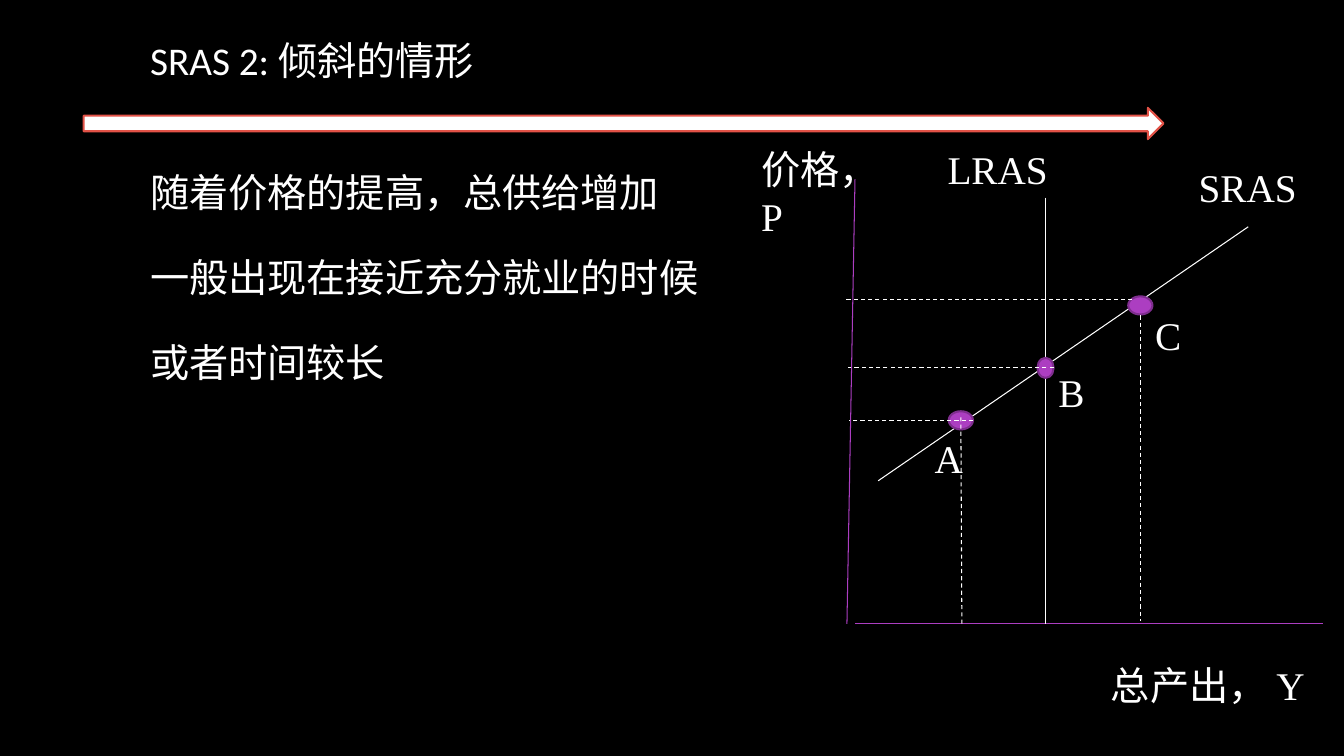
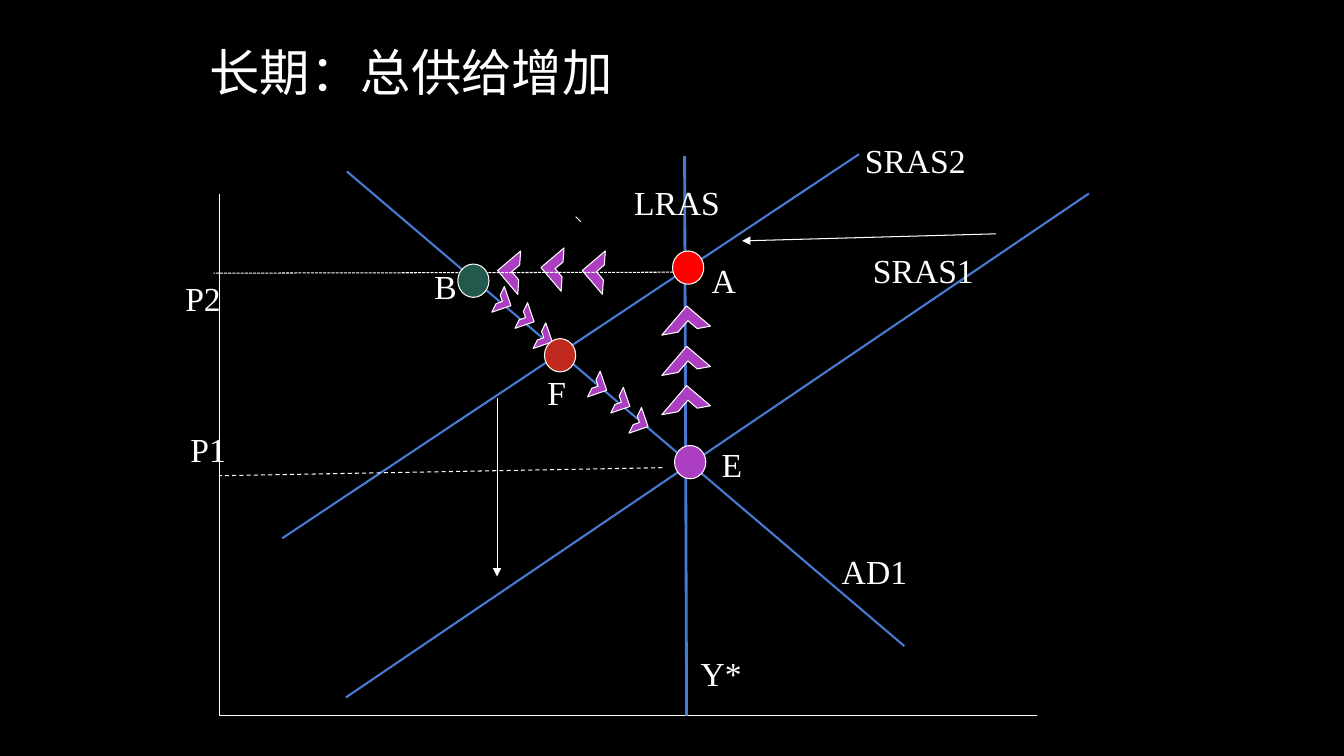
from dataclasses import dataclass

from lxml.etree import SubElement
from pptx import Presentation
from pptx.dml.color import RGBColor as Color
from pptx.enum.dml import MSO_LINE as Dash
from pptx.enum.shapes import MSO_CONNECTOR as Connector, MSO_SHAPE as Shape
from pptx.enum.text import MSO_ANCHOR as Anchor
from pptx.oxml.ns import qn
from pptx.util import Inches, Pt


@dataclass(frozen=True)
class Theme:
    black: str = "000000"
    white: str = "FFFFFF"
    purple: str = "AC3EC1"
    dark_purple: str = "7F2E8F"
    blue: str = "477BD1"
    red: str = "FF0000"
    brick: str = "C02A1E"
    green: str = "23594C"
    coral: str = "E25247"
    title_font: str = "Calibri"
    label_font: str = "Times New Roman"
    small: int = 24
    medium: int = 28
    large: int = 36
    thin: float = 0.75
    medium_line: float = 1.5
    thick: float = 2


theme = Theme()


def draw_line(page, ends, color=theme.white, width=theme.thin, dash=None, arrow=False):
    line = page.shapes.add_connector(Connector.STRAIGHT, *map(Inches, ends))
    line.line.color.rgb = Color.from_string(color)
    line.line.width = Pt(width)
    if dash:
        line.line.dash_style = dash
    properties = line._element.spPr
    if arrow:
        SubElement(properties.find(qn("a:ln")), qn("a:tailEnd"), type="triangle")
    SubElement(properties, qn("a:effectLst"))


def draw_shape(page, kind, box, fill=theme.purple, outline=theme.white,
               width=theme.thin, rotation=0):
    shape = page.shapes.add_shape(kind, *map(Inches, box))
    shape.shadow.inherit = False
    shape.fill.solid()
    shape.fill.fore_color.rgb = Color.from_string(fill)
    shape.line.color.rgb = Color.from_string(outline)
    shape.line.width = Pt(width)
    shape.rotation = rotation


deck = Presentation()
deck.slide_width, deck.slide_height = Inches(13.33), Inches(7.5)
background = deck.slide_master.background.fill
background.solid()
background.fore_color.rgb = Color.from_string(theme.black)
slope_page, long_run_page = [deck.slides.add_slide(deck.slide_layouts[6]) for _ in range(2)]

# Sloping short-run supply
draw_shape(slope_page, Shape.RIGHT_ARROW, (0.83, 1.07, 10.71, 0.31),
           theme.white, theme.coral, theme.medium_line)
for axis in [(8.48, 1.78, 8.4, 6.19), (8.48, 6.19, 13.12, 6.19)]:
    draw_line(slope_page, axis, theme.purple)
for curve in [(8.71, 4.77, 12.38, 2.25), (10.37, 1.96, 10.37, 6.19)]:
    draw_line(slope_page, curve)
for dot in [(10.29, 3.55, 0.16, 0.2), (9.41, 4.08, 0.24, 0.18), (11.19, 2.94, 0.24, 0.18)]:
    draw_shape(slope_page, Shape.OVAL, dot, outline=theme.dark_purple, width=theme.medium_line)
for guide in [
    (9.53, 4.14, 9.54, 6.19),
    (11.31, 3.13, 11.31, 6.16),
    (9.65, 4.17, 8.42, 4.17),
    (10.45, 3.65, 8.41, 3.65),
    (11.23, 2.97, 8.39, 2.97),
]:
    draw_line(slope_page, guide, dash=Dash.DASH)

# Long-run adjustment
for axis in [(2.18, 1.92, 2.18, 7.1), (2.18, 7.1, 10.29, 7.1)]:
    draw_line(long_run_page, axis)
draw_line(long_run_page, (6.79, 1.55, 6.81, 7.1), theme.blue, theme.thick)
for curve in [(10.8, 1.92, 3.43, 6.92), (8.97, 6.41, 3.44, 1.7), (8.52, 1.53, 2.8, 5.34)]:
    draw_line(long_run_page, curve, theme.blue, theme.medium_line)
for shift in [(9.88, 2.32, 7.36, 2.39), (4.93, 3.95, 4.93, 5.72)]:
    draw_line(long_run_page, shift, arrow=True)
draw_line(long_run_page, (5.76, 2.2, 5.71, 2.15))

for top in (3.09, 3.49, 3.88):
    draw_shape(long_run_page, Shape.HALF_FRAME, (6.65, top, 0.31, 0.38), rotation=40.4)
for left, top in [(5.84, 2.55), (5.43, 2.52), (5, 2.55)]:
    draw_shape(long_run_page, Shape.HALF_FRAME, (left, top, 0.3, 0.31), rotation=319.7)
for start_x, start_y in [(4.84, 2.87), (5.79, 3.71)]:
    for step_x, step_y in [(0, 0), (0.23, 0.16), (0.41, 0.36)]:
        draw_shape(long_run_page, Shape.HALF_FRAME,
                   (start_x + step_x, start_y + step_y, 0.2, 0.2), rotation=161.1)

draw_line(long_run_page, (6.57, 4.64, 2.17, 4.72), dash=Dash.DASH)
draw_line(long_run_page, (6.88, 2.7, 2.12, 2.71), dash=Dash.SQUARE_DOT)
for left, top, color in [
    (6.69, 4.42, theme.purple),
    (6.67, 2.49, theme.red),
    (4.54, 2.62, theme.green),
    (5.4, 3.36, theme.brick),
]:
    draw_shape(long_run_page, Shape.OVAL, (left, top, 0.31, 0.33), color)

# Text: each paragraph is a pair of space before and wording
title_frame = {"word_wrap": True, "vertical_anchor": Anchor.TOP}
centred_frame = {"word_wrap": True, "vertical_anchor": Anchor.MIDDLE}
label_frame = {"word_wrap": True, "vertical_anchor": Anchor.TOP, "margin_right": 0}
body_font = {"name": theme.title_font, "size": Pt(theme.medium)}
heading_font = {"name": theme.title_font, "size": Pt(theme.large)}
texts = [
    (slope_page, (1.39, 0.36, 10.05, 4.41), title_frame, body_font, 0.9, [
        (0, "SRAS 2: 倾斜的情形"),
        (64, "随着价格的提高，总供给增加"),
        (30.6, "一般出现在接近充分就业的时候"),
        (30.6, "或者时间较长"),
    ]),
    (long_run_page, (1.98, 0.12, 8.5, 1.25), centred_frame, heading_font, 0.9,
     [(0, "长期：总供给增加")]),
]
slope_labels = [
    (7.45, 1.39, 1.6, "价格，\vP"),
    (10.92, 6.51, 2.41, "总产出， Y"),
    (9.3, 1.39, 1.21, "LRAS"),
    (11.79, 1.57, 1.19, "SRAS"),
    (9.17, 4.26, 0.49, "A"),
    (10.4, 3.6, 0.46, "B"),
    (11.36, 3.04, 0.46, "C"),
]
long_run_labels = [
    (7.06, 4.35, 0.51, "E"),
    (6.96, 2.53, 0.51, "A"),
    (4.21, 2.59, 0.51, "B"),
    (5.33, 3.64, 0.51, "F"),
    (6.19, 1.76, 1.21, "LRAS"),
    (8.56, 2.43, 1.21, "SRAS1"),
    (8.48, 1.34, 1.21, "SRAS2"),
    (8.25, 5.42, 1.21, "AD1"),
    (6.85, 6.43, 0.76, "Y*"),
    (1.79, 4.21, 0.76, "P1"),
    (1.74, 2.71, 0.76, "P2"),
]
for page, size, height, labels in [
    (slope_page, theme.medium, 0.57, slope_labels),
    (long_run_page, theme.small, 0.5, long_run_labels),
]:
    label_font = {"name": theme.label_font, "size": Pt(size)}
    for left, top, width, wording in labels:
        texts.append((page, (left, top, width, height), label_frame, label_font, 1.0,
                      [(0, wording)]))

for page, place, frame_format, font_format, spacing, paragraphs in texts:
    frame = page.shapes.add_textbox(*map(Inches, place)).text_frame
    for name, value in frame_format.items():
        setattr(frame, name, value)
    for index, (space, wording) in enumerate(paragraphs):
        para = frame.add_paragraph() if index else frame.paragraphs[0]
        para.text = wording
        para.line_spacing = spacing
        if space:
            para.space_before = Pt(space)
        for span in para.runs:
            span.font.color.rgb = Color.from_string(theme.white)
            for name, value in font_format.items():
                setattr(span.font, name, value)

deck.save("out.pptx")
